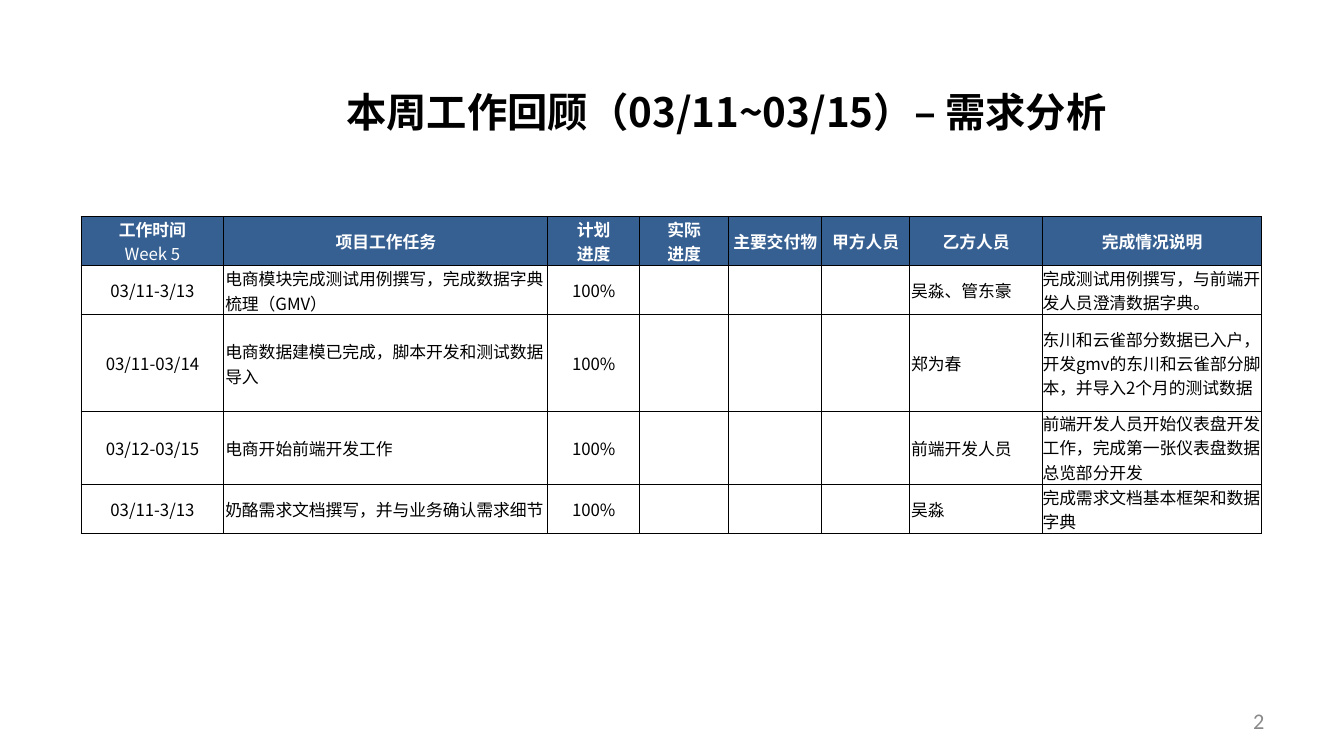
"""Builds the weekly work review slide with its task table."""
from lxml import etree
from pptx import Presentation
from pptx.dml.color import RGBColor
from pptx.enum.text import MSO_ANCHOR, PP_ALIGN
from pptx.oxml.ns import qn
from pptx.util import Cm, Pt

LEFT, CENTER, RIGHT = PP_ALIGN.LEFT, PP_ALIGN.CENTER, PP_ALIGN.RIGHT
MIDDLE = MSO_ANCHOR.MIDDLE
CJK = "Noto Sans CJK SC"

COLUMN_WIDTHS = [3.0, 6.8, 1.93, 1.87, 1.95, 1.85, 2.79, 4.6]
ROW_HEIGHTS = [1.02, 1.04, 2.03, 1.53, 1.04]
ALIGNMENTS = [CENTER, LEFT, CENTER, CENTER, CENTER, CENTER, LEFT, LEFT]
HEADINGS = ["工作时间\nWeek 5", "项目工作任务", "计划\n进度", "实际\n进度",
            "主要交付物", "甲方人员", "乙方人员", "完成情况说明"]
TASKS = [
    ("03/11-3/13", "电商模块完成测试用例撰写，完成数据字典梳理（GMV）",
     "吴淼、管东豪", "完成测试用例撰写，与前端开发人员澄清数据字典。"),
    ("03/11-03/14", "电商数据建模已完成，脚本开发和测试数据导入",
     "郑为春", "东川和云雀部分数据已入户，开发gmv的东川和云雀部分脚本，并导入2个月的测试数据"),
    ("03/12-03/15", "电商开始前端开发工作",
     "前端开发人员", "前端开发人员开始仪表盘开发工作，完成第一张仪表盘数据总览部分开发"),
    ("03/11-3/13", "奶酪需求文档撰写，并与业务确认需求细节",
     "吴淼", "完成需求文档基本框架和数据字典"),
]


def rgb(value):
    return RGBColor.from_string(value)


def assign(target, formats):
    for name, value in formats.items():
        setattr(target, name, value)


def margins(left=0, top=0, right=0, bottom=0):
    return {"margin_left": Cm(left), "margin_top": Cm(top),
            "margin_right": Cm(right), "margin_bottom": Cm(bottom)}


class ReviewSlide:
    def __init__(self, slide):
        self.slide = slide
        self.header_fill = "376092"
        self.body_fill = "FFFFFF"
        self.border = "000000"

    def fill_text(self, frame, text, align=LEFT, color="000000", font=CJK, size=10, bold=False):
        for index, line in enumerate(text.split("\n")):
            paragraph = frame.paragraphs[0] if index == 0 else frame.add_paragraph()
            paragraph.alignment = align
            run = paragraph.add_run()
            run.text = line
            assign(run.font, {"name": font, "size": Pt(size),
                              "bold": bold and line != "Week 5"})
            run.font.color.rgb = rgb(color)
            east_asian = etree.SubElement(run.font._element, qn("a:ea"))
            east_asian.set("typeface", font)

    def text(self, box, text, insets, **style):
        frame = self.slide.shapes.add_textbox(*map(Cm, box)).text_frame
        assign(frame, {"word_wrap": True, "vertical_anchor": MIDDLE, **insets})
        self.fill_text(frame, text, **style)

    def outline(self, cell):
        properties = cell._tc.get_or_add_tcPr()
        for side in ("a:lnL", "a:lnR", "a:lnT", "a:lnB"):
            line = etree.SubElement(properties, qn(side), w=str(int(Pt(0.5))))
            fill = etree.SubElement(line, qn("a:solidFill"))
            etree.SubElement(fill, qn("a:srgbClr"), val=self.border)

    def cell(self, cell, text, fill, insets, **style):
        assign(cell, {"vertical_anchor": MIDDLE, **insets})
        self.outline(cell)
        cell.fill.solid()
        cell.fill.fore_color.rgb = rgb(fill)
        if text:
            self.fill_text(cell.text_frame, text, **style)

    def table(self, left, top, headings, records):
        size = (sum(COLUMN_WIDTHS), sum(ROW_HEIGHTS))
        table = self.slide.shapes.add_table(
            len(ROW_HEIGHTS), len(COLUMN_WIDTHS), *map(Cm, (left, top, *size))).table
        for column, width in zip(table.columns, COLUMN_WIDTHS):
            column.width = Cm(width)
        for row, height in zip(table.rows, ROW_HEIGHTS):
            row.height = Cm(height)
        for index, heading in enumerate(headings):
            self.cell(table.cell(0, index), heading, self.header_fill, margins(),
                      align=CENTER, color="FFFFFF", bold=True)
        for number, record in enumerate(records, 1):
            for index, (value, align) in enumerate(zip(record, ALIGNMENTS)):
                last = index == len(ALIGNMENTS) - 1
                insets = margins() if last else margins(0.03, 0.03, 0.03)
                self.cell(table.cell(number, index), value, self.body_fill, insets, align=align)


def main():
    deck = Presentation()
    assign(deck, {"slide_width": Cm(28.22), "slide_height": Cm(15.88)})
    review = ReviewSlide(deck.slides.add_slide(deck.slide_layouts[6]))
    review.text((20.22, 14.71, 6.58, 0.84), "2", margins(0.25, 0.13, 0.25, 0.13),
                align=RIGHT, color="898989", font="Calibri", size=13.3)
    review.text((6.63, 1.35, 19.69, 1.9), "本周工作回顾（03/11~03/15）– 需求分析",
                margins(0.64, 0.08), size=24, bold=True)
    records = [(period, task, "100%", "", "", "", staff, status)
               for period, task, staff, status in TASKS]
    review.table(1.7, 4.55, HEADINGS, records)
    deck.save("out.pptx")


if __name__ == "__main__":
    main()
